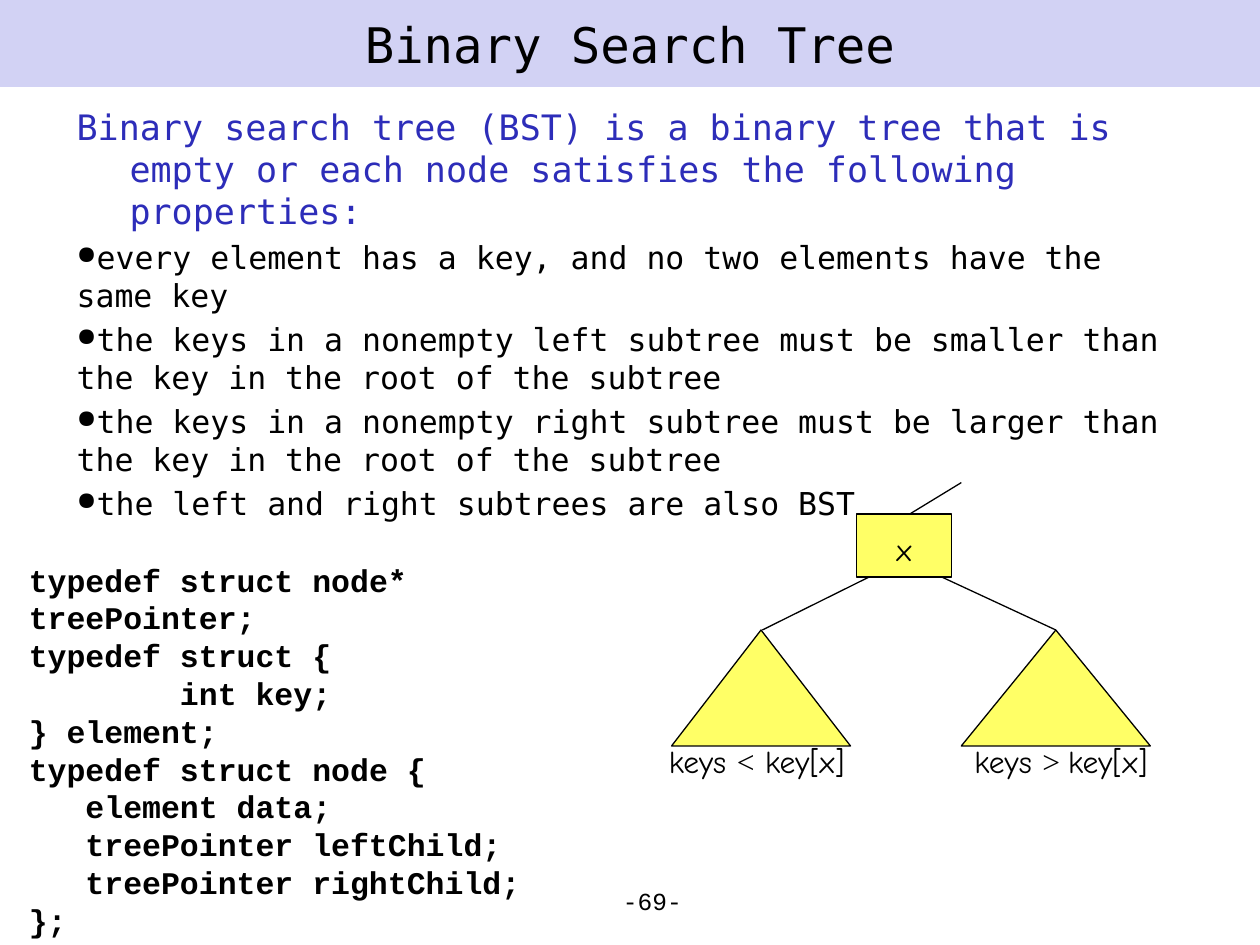
from dataclasses import dataclass

from lxml import etree
from pptx import Presentation
from pptx.dml.color import RGBColor
from pptx.enum.shapes import MSO_CONNECTOR, MSO_SHAPE
from pptx.enum.text import MSO_ANCHOR, PP_ALIGN
from pptx.oxml.ns import qn
from pptx.util import Inches, Pt

RECTANGLE, TRIANGLE = MSO_SHAPE.RECTANGLE, MSO_SHAPE.ISOSCELES_TRIANGLE
STRAIGHT = MSO_CONNECTOR.STRAIGHT
MIDDLE, TOP = MSO_ANCHOR.MIDDLE, MSO_ANCHOR.TOP
LEFT, CENTER, RIGHT = PP_ALIGN.LEFT, PP_ALIGN.CENTER, PP_ALIGN.RIGHT


@dataclass(frozen=True)
class Theme:
    """Colours, fonts and sizes of the slide."""
    ink: str = "000000"
    band: str = "D2D2F4"
    lead: str = "2D2DB9"
    node: str = "FFFF66"
    sans: str = "DejaVu Sans Mono"
    code: str = "Courier New"
    label: str = "Comic Neue"
    sign: str = "Times New Roman"
    title_size: int = 28
    lead_size: int = 20
    text_size: int = 18
    page_size: int = 14
    line_width: float = 0.75


THEME = Theme()


@dataclass(frozen=True)
class Run:
    """A piece of text in one style."""
    text: str
    font: str
    size: int = THEME.text_size
    color: str = THEME.ink
    bold: bool = False


@dataclass(frozen=True)
class Para:
    """A paragraph; margin and indent are in inches, before in points."""
    runs: tuple[Run, ...]
    align: PP_ALIGN = LEFT
    margin: float = 0
    indent: float = 0
    before: float = 0
    bullet: bool = False


@dataclass(frozen=True)
class Box:
    """A rectangle on the slide, in inches."""
    left: float
    top: float
    width: float
    height: float

    def emu(self) -> tuple:
        """Give the four lengths for python-pptx."""
        return tuple(map(Inches, (self.left, self.top, self.width, self.height)))


@dataclass(frozen=True)
class Edge:
    """A straight line between two points, in inches."""
    start: tuple[float, float]
    end: tuple[float, float]


def rgb(color: str) -> RGBColor:
    """Turn a hex string into a colour."""
    return RGBColor.from_string(color)


def write(shape, paras: list[Para], wrap: bool = True, anchor=TOP) -> None:
    """Fill the text frame of a shape with paragraphs."""
    frame = shape.text_frame
    frame.word_wrap = wrap
    frame.vertical_anchor = anchor
    for index, para in enumerate(paras):
        paragraph = frame.add_paragraph() if index else frame.paragraphs[0]
        paragraph.alignment = para.align
        paragraph.space_before = Pt(para.before)
        props = paragraph._p.get_or_add_pPr()
        props.set("marL", str(Inches(para.margin)))
        props.set("indent", str(Inches(para.indent)))
        if para.bullet:
            etree.SubElement(props, qn("a:buSzPct")).set("val", "80000")
            etree.SubElement(props, qn("a:buChar")).set("char", "●")
        for piece in para.runs:
            run = paragraph.add_run()
            run.text = piece.text
            run.font.name = piece.font
            run.font.size = Pt(piece.size)
            run.font.bold = piece.bold
            run.font.color.rgb = rgb(piece.color)


def add_text(slide, box: Box, paras: list[Para], wrap: bool = True) -> None:
    """Add a text box."""
    write(slide.shapes.add_textbox(*box.emu()), paras, wrap)


def add_filled(slide, kind, box: Box, fill: str, outlined: bool = True):
    """Add a filled preset shape, with or without an outline."""
    shape = slide.shapes.add_shape(kind, *box.emu())
    shape.shadow.inherit = False
    shape.fill.solid()
    shape.fill.fore_color.rgb = rgb(fill)
    if outlined:
        shape.line.color.rgb = rgb(THEME.ink)
        shape.line.width = Pt(THEME.line_width)
    else:
        shape.line.fill.background()
    return shape


def add_edge(slide, edge: Edge) -> None:
    """Add a thin line of the tree."""
    line = slide.shapes.add_connector(STRAIGHT, *map(Inches, edge.start + edge.end))
    line.line.color.rgb = rgb(THEME.ink)
    line.line.width = Pt(THEME.line_width)
    etree.SubElement(line._element.spPr, qn("a:effectLst"))


def label(*texts: tuple[str, str]) -> list[Para]:
    """Make a centred label from pairs of text and font."""
    return [Para(tuple(Run(text, font) for text, font in texts), CENTER)]


LEAD = ("Binary search tree (BST) is a binary tree that is empty or each node "
        "satisfies the following properties:")
PROPERTIES = (
    "every element has a key, and no two elements have the same key",
    "the keys in a nonempty left subtree must be smaller than the key in the root of the subtree",
    "the keys in a nonempty right subtree must be larger than the key in the root of the subtree",
    "the left and right subtrees are also BST",
)
CODE_CHAR = 0.15  # width of one code character in inches
CODE = (  # leading columns, text
    (0, "typedef struct node* treePointer;"),
    (0, "typedef struct {"),
    (8, "int key;"),
    (0, "} element;"),
    (0, "typedef struct node {"),
    (3, "element data;"),
    (3, "treePointer leftChild;"),
    (3, "treePointer rightChild;"),
    (0, "};"),
)
ROOT = Box(6.8, 4.08, 0.75, 0.5)
SUBTREES = (Box(5.33, 5, 1.42, 0.92), Box(7.63, 5, 1.5, 0.92))
EDGES = (
    Edge((7.22, 4.42), (6.05, 5)),
    Edge((7.13, 4.42), (8.38, 5)),
    Edge((7.22, 4.08), (7.63, 3.83)),
)
LABELS = (
    (Box(7, 4.16, 0.35, 0.4), label(("x", THEME.label))),
    (Box(5.13, 5.84, 1.75, 0.4),
     label(("keys ", THEME.label), ("<", THEME.sign), (" key[x]", THEME.label))),
    (Box(7.55, 5.84, 1.74, 0.4),
     label(("keys ", THEME.label), ("> ", THEME.sign), ("key[x]", THEME.label))),
)


def main() -> None:
    """Build and save the slide."""
    deck = Presentation()
    deck.slide_width, deck.slide_height = Inches(10), Inches(7.5)
    slide = deck.slides.add_slide(deck.slide_layouts[6])

    title = add_filled(slide, RECTANGLE, Box(0, 0, 10, 0.69), THEME.band, outlined=False)
    heading = Run("Binary Search Tree", THEME.sans, THEME.title_size)
    write(title, [Para((heading,), CENTER)], anchor=MIDDLE)

    lead = Run(LEAD, THEME.sans, THEME.lead_size, THEME.lead)
    definition = [Para((lead,), margin=0.42, indent=-0.42, before=4)]
    definition += [Para((Run(text, THEME.sans),), indent=-0.38, before=3.6, bullet=True)
                   for text in PROPERTIES]
    add_text(slide, Box(0.51, 0.79, 8.93, 6.04), definition)

    page = Run("-69-", THEME.code, THEME.page_size)
    add_text(slide, Box(3.43, 6.98, 2.08, 0.31), [Para((page,), RIGHT)])

    for edge in EDGES:
        add_edge(slide, edge)
    add_filled(slide, RECTANGLE, ROOT, THEME.node)
    for subtree in SUBTREES:
        add_filled(slide, TRIANGLE, subtree, THEME.node)
    for box, paras in LABELS:
        add_text(slide, box, paras, wrap=False)

    add_text(slide, Box(0.13, 4.4, 4.98, 2.83),
             [Para((Run(text, THEME.code, bold=True),), margin=columns * CODE_CHAR)
              for columns, text in CODE])
    deck.save("out.pptx")


main()
